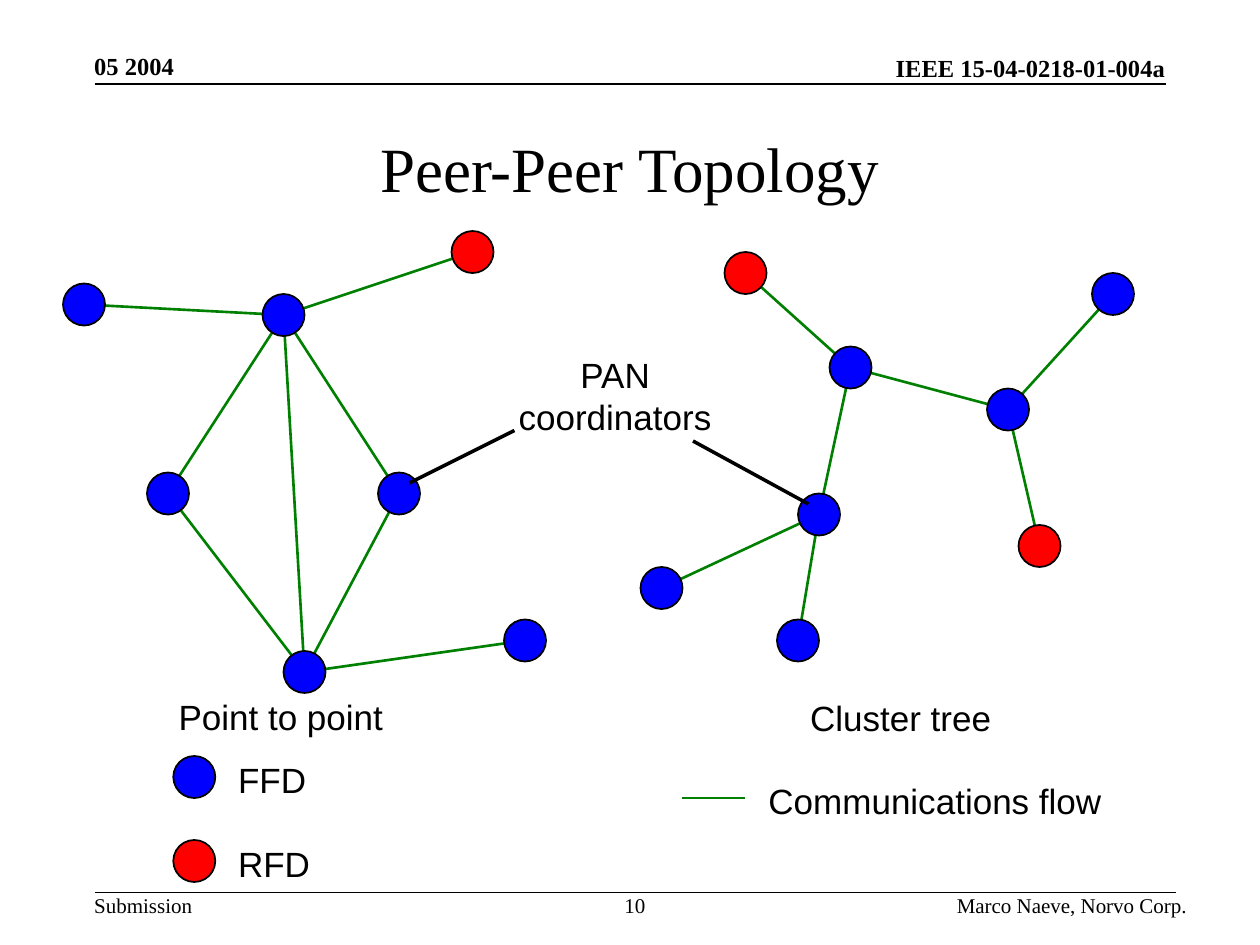
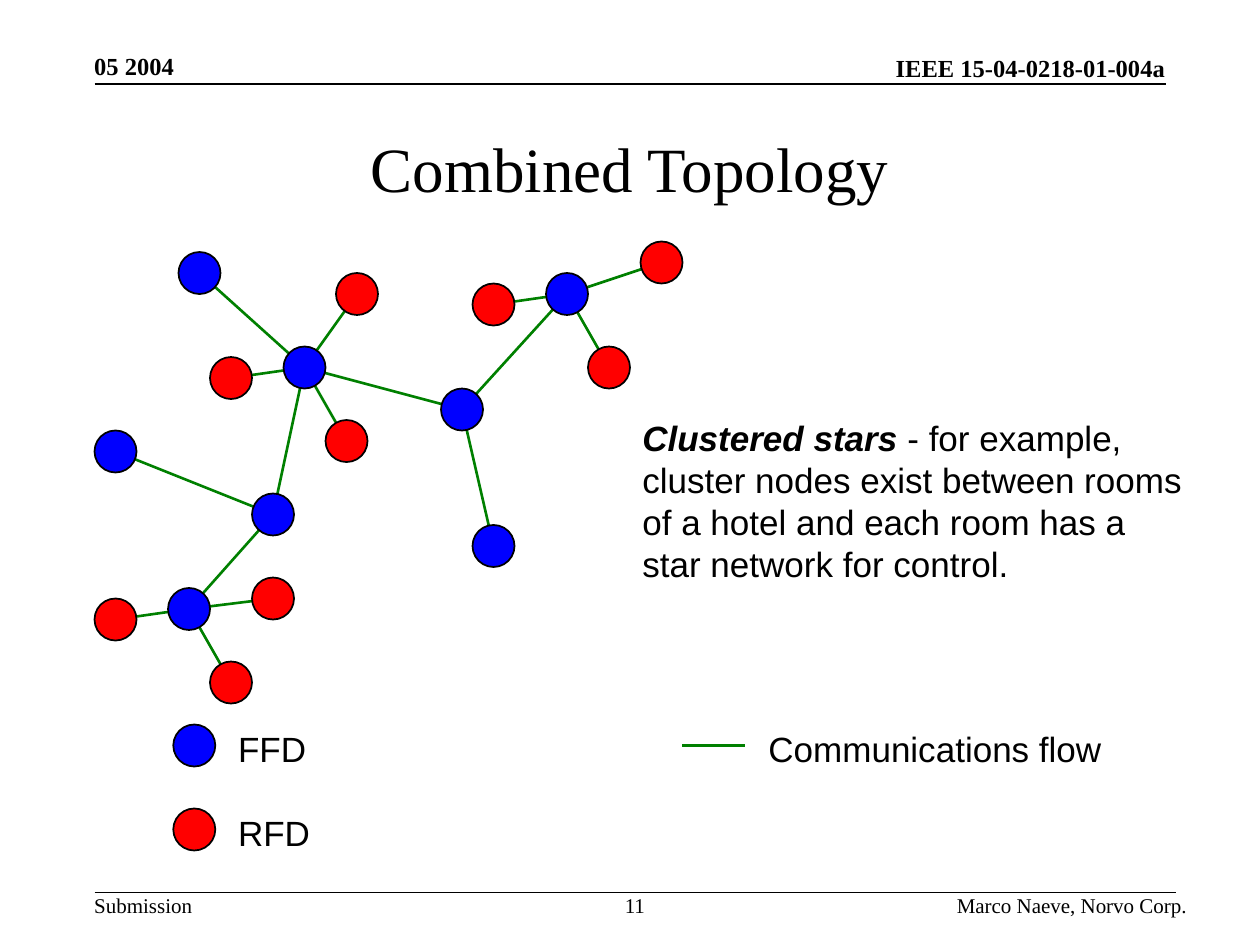
"""Build two slides on peer-to-peer and combined network topologies."""
from lxml.etree import SubElement
from pptx import Presentation
from pptx.dml.color import RGBColor as Rgb
from pptx.enum.shapes import MSO_CONNECTOR as Conn, MSO_SHAPE as Shape
from pptx.enum.text import MSO_ANCHOR as Anchor, PP_ALIGN as Align
from pptx.oxml.ns import qn
from pptx.util import Cm, Pt

HUES = {"ink": "000000", "ffd": "0000FF", "rfd": "FF0000", "flow": "008000"}
SERIF, SANS = "Times New Roman", "Arial"
GRID = 2.54 / 12


def write(slide, text, left, top, wide, high, size=20, face=SANS,
          align=Align.LEFT, anchor=Anchor.TOP, bold=False, pad=(0.25, 0.13)):
    box = slide.shapes.add_textbox(Cm(left), Cm(top), Cm(wide), Cm(high))
    frame = box.text_frame
    frame.text = text
    frame.word_wrap = True
    frame.vertical_anchor = anchor
    frame.margin_left = frame.margin_right = Cm(pad[0])
    frame.margin_top = frame.margin_bottom = Cm(pad[1])
    for para in frame.paragraphs:
        para.alignment = align
        for run in para.runs:
            run.font.name, run.font.size, run.font.bold = face, Pt(size), bold
            run.font.color.rgb = Rgb.from_string(HUES["ink"])
    return frame


def link(slide, start, end, hue="flow", width=1.5):
    ends = [Cm(num * GRID) for num in (*start, *end)]
    line = slide.shapes.add_connector(Conn.STRAIGHT, *ends)
    line.line.color.rgb = Rgb.from_string(HUES[hue])
    line.line.width = Pt(width)
    SubElement(line._element.spPr, qn("a:effectLst"))


pages = [
    {
        "title": "Peer-Peer Topology", "page": "10", "key": 74, "flow": 76,
        "hubs": {
            (27, 30): [(8, 29), (45, 24), (16, 47), (38, 47), (29, 64)],
            (29, 64): [(16, 47), (38, 47), (50, 61)],
            (81, 35): [(71, 26), (96, 39), (78, 49)],
            (96, 39): [(106, 28), (99, 52)],
            (78, 49): [(63, 56), (76, 61)],
        },
        "rfds": {(45, 24), (71, 26), (99, 52)},
    },
    {
        "title": "Combined Topology", "page": "11", "key": 71, "flow": 71,
        "hubs": {
            (29, 35): [(33, 42), (34, 28), (22, 36), (19, 26), (44, 39), (26, 49)],
            (44, 39): [(47, 52), (54, 28)],
            (26, 49): [(11, 43), (18, 58)],
            (54, 28): [(58, 35), (63, 25), (47, 29)],
            (18, 58): [(22, 65), (26, 57), (11, 59)],
        },
        "rfds": {(33, 42), (34, 28), (22, 36), (58, 35), (63, 25), (47, 29),
                 (22, 65), (26, 57), (11, 59)},
    },
]

deck = Presentation()
deck.slide_width, deck.slide_height = Cm(25.4), Cm(19.05)
slides = []

for page in pages:
    slide = deck.slides.add_slide(deck.slide_layouts[6])
    slides.append(slide)

    head = {"size": 14, "face": SERIF, "bold": True, "anchor": Anchor.BOTTOM, "pad": (0, 0)}
    foot = {"size": 12, "face": SERIF, "pad": (0, 0)}
    write(slide, "05 2004", 1.9, 1.04, 4.45, 0.58, **head)
    write(slide, "IEEE 15-04-0218-01-004a", 10.36, 1.09, 13.13, 0.58,
          align=Align.RIGHT, **head)
    link(slide, (9, 8), (111, 8), "ink", 1)
    write(slide, page["title"], 1.9, 1.9, 21.59, 2.96, 36, SERIF,
          Align.CENTER, Anchor.MIDDLE)
    link(slide, (9, 85), (112, 85), "ink", 1)
    write(slide, "Submission", 1.9, 17.99, 2.2, 0.51, **foot)
    write(slide, page["page"], 12.06, 17.99, 1.48, 0.51, align=Align.CENTER, **foot)
    write(slide, "Marco Naeve, Norvo Corp.", 15.24, 17.99, 8.69, 0.51,
          align=Align.RIGHT, **foot)

    spots = set(page["hubs"])
    for hub, ends in page["hubs"].items():
        spots.update(ends)
        for end in ends:
            link(slide, hub, end)

    nodes = [(spot, "rfd" if spot in page["rfds"] else "ffd") for spot in sorted(spots)]
    for row, kind in enumerate(("ffd", "rfd")):
        level = page["key"] + 8 * row
        nodes.append(((18.5, level), kind))
        write(slide, kind.upper(), 4.55, level * GRID - 0.5, 2.1, 1.11)
    for (col, row), kind in nodes:
        dot = slide.shapes.add_shape(Shape.OVAL, Cm((col - 2) * GRID), Cm((row - 2) * GRID),
                                     Cm(4 * GRID), Cm(4 * GRID))
        dot.shadow.inherit = False
        dot.fill.solid()
        dot.fill.fore_color.rgb = Rgb.from_string(HUES[kind])
        dot.line.color.rgb = Rgb.from_string(HUES["ink"])
        dot.line.width = Pt(1)

    link(slide, (65, page["flow"]), (71, page["flow"]))
    write(slide, "Communications flow", 15.24, page["flow"] * GRID - 0.5, 7.4, 1.11)

peer, mixed = slides
write(peer, "Point to point", 3.35, 13.89, 4.8, 1.11)
write(peer, "Cluster tree", 16.08, 13.92, 4.35, 1.11)
write(peer, "PAN\ncoordinators", 10.1, 6.99, 4.6, 1.96, align=Align.CENTER)
link(peer, (66, 42), (77, 48), "ink", 2)
link(peer, (39, 46), (49, 41), "ink", 2)

note = write(mixed, "Clustered stars\ncluster nodes exist between rooms\n"
             "of a hotel and each room has a\nstar network for control.",
             12.7, 8.26, 11.6, 3.66)
first = note.paragraphs[0]
term = first.runs[0].font
term.bold = term.italic = True
rest = first.add_run()
rest.text = " - for example,"
rest.font.name, rest.font.size = SANS, Pt(20)
rest.font.color.rgb = Rgb.from_string(HUES["ink"])

deck.save("out.pptx")
